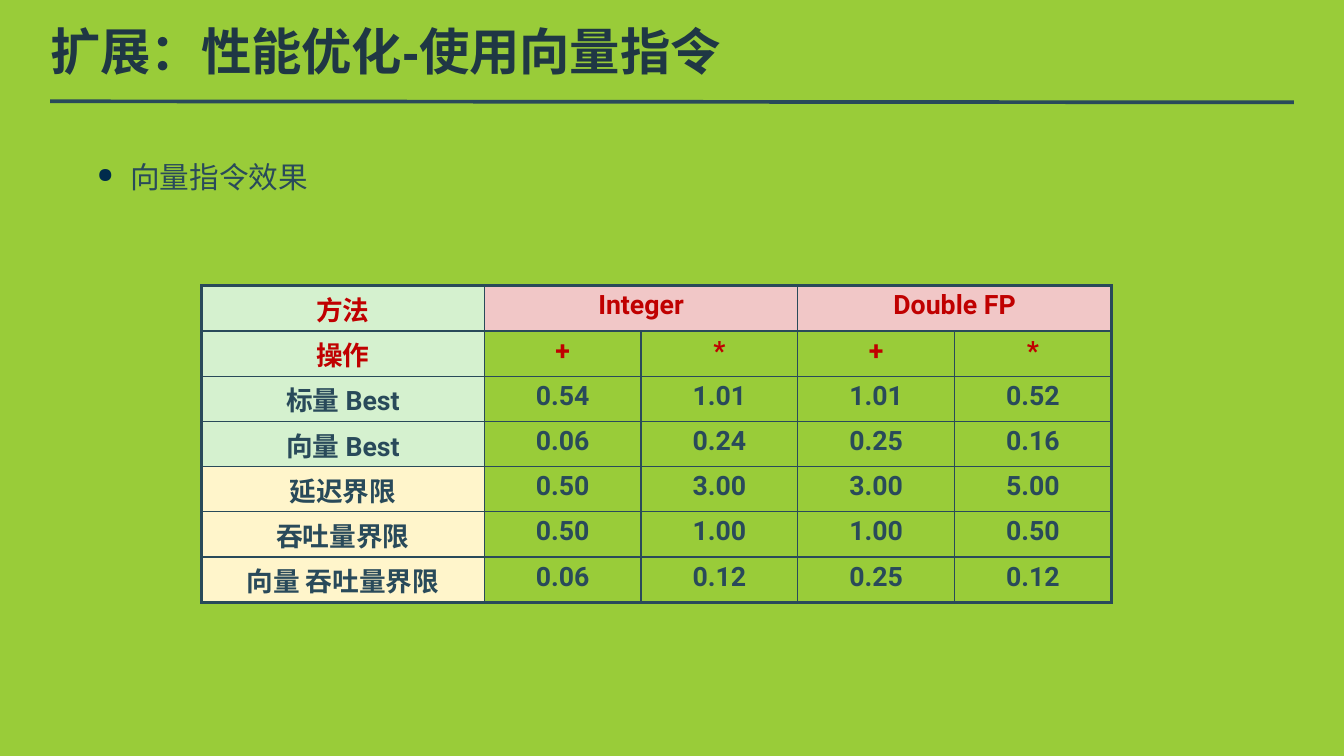
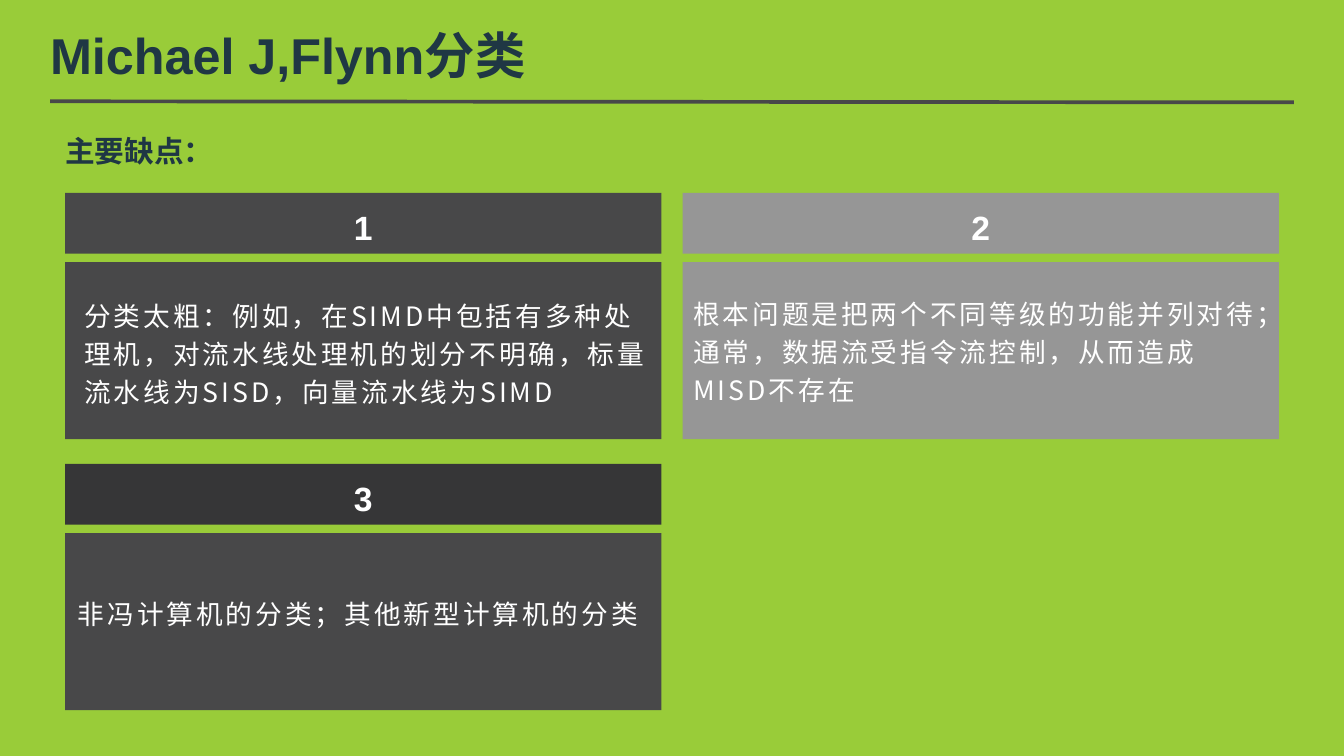
from dataclasses import dataclass

from lxml.etree import SubElement
from pptx import Presentation
from pptx.dml.color import RGBColor
from pptx.enum.shapes import MSO_CONNECTOR, MSO_SHAPE
from pptx.enum.text import MSO_ANCHOR, PP_ALIGN
from pptx.oxml.ns import qn
from pptx.util import Inches, Pt


@dataclass(frozen=True)
class Theme:
    """Colours, fonts and type sizes shared by the slides."""

    background: str = "99CC39"
    title: str = "1F3744"
    ink: str = "294A5A"
    bullet: str = "002B4C"
    accent: str = "C00000"
    white: str = "FFFFFF"
    dark: str = "484849"
    darker: str = "363637"
    grey: str = "969696"
    green: str = "D5F1CF"
    pink: str = "F1C7C7"
    cream: str = "FFF5CB"
    heading_font: str = "Arial"
    body_font: str = "Noto Sans CJK SC"
    table_font: str = "Roboto"
    title_size: float = 34
    number_size: float = 22.7
    lead_size: float = 20
    body_size: float = 18
    rule_width: float = 2.5
    frame_width: float = 2.25
    grid_width: float = 1


THEME = Theme()


def rgb(color):
    """Turn a hex string into a colour."""
    return RGBColor.from_string(color)


def style_paragraph(paragraph, size, color, font, bold=False, spacing=0):
    """Set the font of a whole paragraph, for Latin and Chinese text alike."""
    paragraph.font.size = Pt(size)
    paragraph.font.bold = bold
    paragraph.font.name = font
    paragraph.font.color.rgb = rgb(color)
    defaults = paragraph._p.pPr.find(qn("a:defRPr"))
    SubElement(defaults, qn("a:ea"), typeface=THEME.body_font)
    if spacing:
        defaults.set("spc", str(spacing * 100))


def set_insets(frame, left=0, top=0, right=0, bottom=0):
    """Set the four inner margins of a text frame in inches."""
    frame.margin_left, frame.margin_top = Inches(left), Inches(top)
    frame.margin_right, frame.margin_bottom = Inches(right), Inches(bottom)


def add_textbox(slide, text, left, top, width, height, anchor=MSO_ANCHOR.TOP):
    """Add a wrapping text box without insets and return its paragraph."""
    shape = slide.shapes.add_textbox(
        Inches(left), Inches(top), Inches(width), Inches(height))
    frame = shape.text_frame
    frame.word_wrap = True
    frame.vertical_anchor = anchor
    set_insets(frame)
    paragraph = frame.paragraphs[0]
    paragraph.text = text
    return paragraph


def add_slide(presentation, title, rule_color, anchor):
    """Add a slide with its title and the rule below it."""
    slide = presentation.slides.add_slide(presentation.slide_layouts[6])
    paragraph = add_textbox(slide, title, 0.47, 0.16, 11.65, 0.63, anchor)
    style_paragraph(paragraph, THEME.title_size, THEME.title,
                    THEME.heading_font, bold=True)
    rule = slide.shapes.add_connector(
        MSO_CONNECTOR.STRAIGHT,
        Inches(0.47), Inches(0.95), Inches(12.13), Inches(0.96))
    rule.line.color.rgb = rgb(rule_color)
    rule.line.width = Pt(THEME.rule_width)
    SubElement(rule._element.spPr, qn("a:effectLst"))
    return slide


def add_bullet(slide, text, left, top, width, height):
    """Add a bulleted line of text."""
    paragraph = add_textbox(slide, text, left, top, width, height)
    properties = paragraph._p.get_or_add_pPr()
    properties.set("marL", str(Inches(0.81)))
    properties.set("indent", str(Inches(-0.31)))
    bullet_color = SubElement(properties, qn("a:buClr"))
    SubElement(bullet_color, qn("a:srgbClr"), val=THEME.bullet)
    SubElement(properties, qn("a:buSzPct"), val="70000")
    SubElement(properties, qn("a:buChar"), char="●")
    paragraph.line_spacing = 1.5
    style_paragraph(paragraph, THEME.lead_size, THEME.ink, THEME.body_font)


def set_borders(cell, widths):
    """Draw the cell borders with a width in points for each side."""
    properties = cell._tc.get_or_add_tcPr()
    for side, width in widths.items():
        line = SubElement(properties, qn(f"a:ln{side}"), w=str(Pt(width)))
        fill = SubElement(line, qn("a:solidFill"))
        SubElement(fill, qn("a:srgbClr"), val=THEME.ink)


def style_cell(cell, color, fill, outer_sides):
    """Format the text, borders and fill of one table cell."""
    set_insets(cell, 0.05, 0.05, 0.05, 0.05)
    paragraph = cell.text_frame.paragraphs[0]
    paragraph.alignment = PP_ALIGN.CENTER
    paragraph.line_spacing = 0.95
    style_paragraph(paragraph, THEME.body_size, color, THEME.table_font, bold=True)
    set_borders(cell, {
        side: THEME.frame_width if side in outer_sides else THEME.grid_width
        for side in "LRTB"})
    if fill:
        cell.fill.solid()
        cell.fill.fore_color.rgb = rgb(fill)
    else:
        cell.fill.background()


def cell_fill(row, column):
    """Return the fill colour that a table position calls for."""
    if column == 0:
        return THEME.green if row < 4 else THEME.cream
    return THEME.pink if row == 0 else None


def add_results_table(slide, rows, left, top, column_widths, height):
    """Add the table of results with paired headings in its first row."""
    row_count, column_count = len(rows), len(column_widths)
    table = slide.shapes.add_table(
        row_count, column_count, Inches(left), Inches(top),
        Inches(sum(column_widths)), Inches(height)).table
    table.first_row = table.horz_banding = False
    for column, width in zip(table.columns, column_widths):
        column.width = Inches(width)
    for first in range(1, column_count, 2):
        table.cell(0, first).merge(table.cell(0, first + 1))
    for row, values in enumerate(rows):
        for column, value in enumerate(values):
            cell = table.cell(row, column)
            cell.text = value
            edges = {"L": column == 0,
                     "R": column + cell.span_width == column_count,
                     "T": row == 0,
                     "B": row == row_count - 1}
            style_cell(cell, THEME.accent if row < 2 else THEME.ink,
                       cell_fill(row, column),
                       [side for side, outer in edges.items() if outer])


def add_panel(slide, text, left, top, width, height, fill):
    """Add a filled rectangle with text and return its frame and paragraph."""
    shape = slide.shapes.add_shape(
        MSO_SHAPE.RECTANGLE, Inches(left), Inches(top), Inches(width), Inches(height))
    shape.shadow.inherit = False
    shape.fill.solid()
    shape.fill.fore_color.rgb = rgb(fill)
    shape.line.fill.background()
    frame = shape.text_frame
    frame.word_wrap = True
    frame.vertical_anchor = MSO_ANCHOR.MIDDLE
    paragraph = frame.paragraphs[0]
    paragraph.text = text
    paragraph.line_spacing = 1.2
    return frame, paragraph


def add_card(slide, number, text, left, top, header_fill, body_fill, insets):
    """Add a numbered header with its explanation below."""
    width = 5.59
    _, heading = add_panel(slide, str(number), left, top, width, 0.57, header_fill)
    heading.alignment = PP_ALIGN.CENTER
    style_paragraph(heading, THEME.number_size, THEME.white,
                    THEME.heading_font, bold=True)
    frame, body = add_panel(slide, text, left, top + 0.65, width, 1.66, body_fill)
    set_insets(frame, *insets)
    body.alignment = PP_ALIGN.LEFT
    style_paragraph(body, THEME.body_size, THEME.white, THEME.body_font, spacing=2)


def build_vector_slide(presentation):
    """Build the slide on the effect of vector instructions."""
    slide = add_slide(presentation, "扩展：性能优化-使用向量指令",
                      THEME.ink, MSO_ANCHOR.MIDDLE)
    add_bullet(slide, "向量指令效果", 0.41, 1.32, 6.11, 0.45)
    rows = [
        ("方法", "Integer", "", "Double FP", ""),
        ("操作", "+", "*", "+", "*"),
        ("标量 Best", "0.54", "1.01", "1.01", "0.52"),
        ("向量 Best", "0.06", "0.24", "0.25", "0.16"),
        ("延迟界限", "0.50", "3.00", "3.00", "5.00"),
        ("吞吐量界限", "0.50", "1.00", "1.00", "0.50"),
        ("向量 吞吐量界限", "0.06", "0.12", "0.25", "0.12"),
    ]
    add_results_table(slide, rows, 1.89, 2.68, [2.65] + [1.47] * 4, 2.97)


def build_taxonomy_slide(presentation):
    """Build the slide on the drawbacks of the taxonomy."""
    slide = add_slide(presentation, "Michael J,Flynn分类",
                      THEME.dark, MSO_ANCHOR.BOTTOM)
    lead = add_textbox(slide, "主要缺点：", 0.61, 1.18, 3.65, 0.47)
    lead.line_spacing = 1.2
    style_paragraph(lead, THEME.lead_size, THEME.title, THEME.heading_font, bold=True)
    cards = [
        ("分类太粗：例如，在SIMD中包括有多种处理机，对流水线处理机的划分不明确，"
         "标量流水线为SISD，向量流水线为SIMD",
         THEME.dark, THEME.dark, (0.18, 0.05, 0.02, 0.05)),
        ("根本问题是把两个不同等级的功能并列对待；通常，数据流受指令流控制，"
         "从而造成MISD不存在",
         THEME.grey, THEME.grey, (0.1, 0.05, 0.1, 0.09)),
        ("非冯计算机的分类；其他新型计算机的分类",
         THEME.darker, THEME.dark, (0.12, 0.05, 0.02, 0.25)),
    ]
    for index, (text, header_fill, body_fill, insets) in enumerate(cards):
        row, column = divmod(index, 2)
        add_card(slide, index + 1, text, 0.61 + column * 5.79, 1.81 + row * 2.54,
                 header_fill, body_fill, insets)


def main():
    """Build and save the presentation."""
    presentation = Presentation()
    presentation.slide_width = Inches(12.6)
    presentation.slide_height = Inches(7.09)
    background = presentation.slide_master.background.fill
    background.solid()
    background.fore_color.rgb = rgb(THEME.background)
    build_vector_slide(presentation)
    build_taxonomy_slide(presentation)
    presentation.save("out.pptx")


if __name__ == "__main__":
    main()
